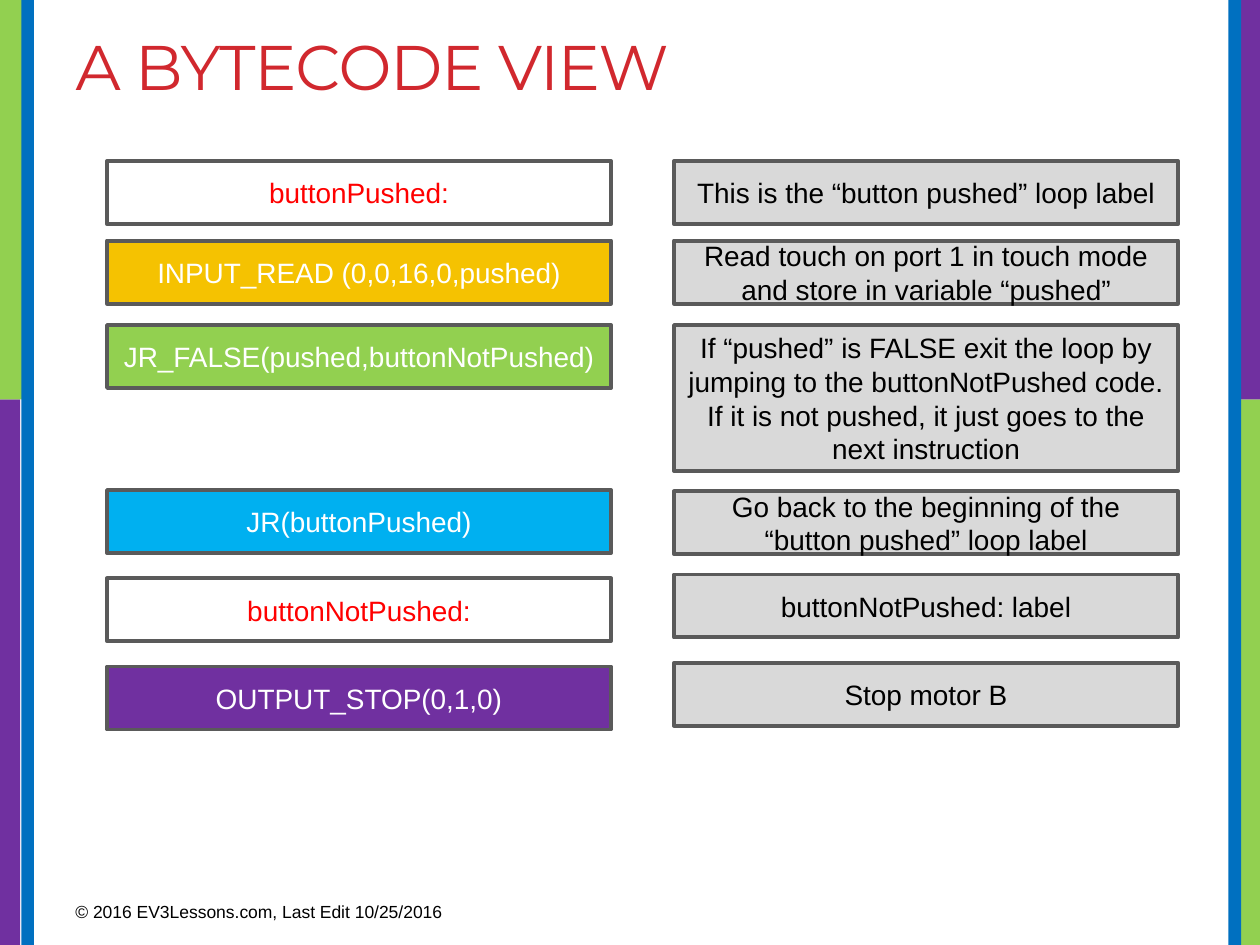
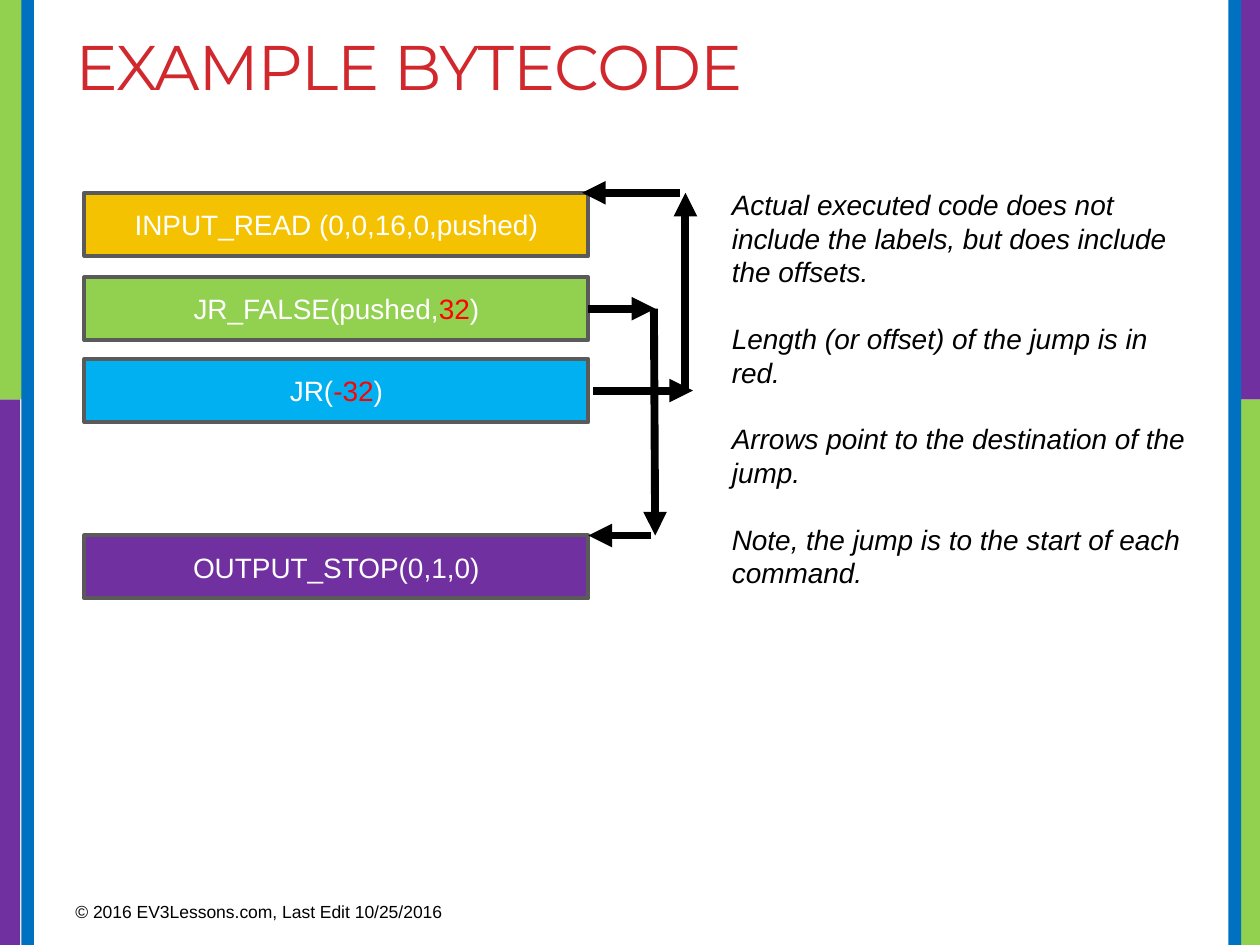
"""Build two slides that explain the bytecode of a touch-sensor loop."""
from lxml.etree import SubElement
from pptx import Presentation
from pptx.dml.color import RGBColor
from pptx.enum.shapes import MSO_CONNECTOR, MSO_SHAPE
from pptx.enum.text import MSO_ANCHOR, MSO_AUTO_SIZE, PP_ALIGN
from pptx.oxml.ns import qn
from pptx.util import Inches, Pt

BLACK = RGBColor(0x00, 0x00, 0x00)
WHITE = RGBColor(0xFF, 0xFF, 0xFF)
RED = RGBColor(0xFF, 0x00, 0x00)
TITLE_RED = RGBColor(0xD1, 0x28, 0x2E)
GOLD = RGBColor(0xF5, 0xC2, 0x01)
GREEN = RGBColor(0x92, 0xD0, 0x50)
SKY = RGBColor(0x00, 0xB0, 0xF0)
BLUE = RGBColor(0x00, 0x70, 0xC0)
PURPLE = RGBColor(0x70, 0x30, 0xA0)
GRAY = RGBColor(0xD9, 0xD9, 0xD9)
OUTLINE = RGBColor(0x5A, 0x5A, 0x5A)

WIDTH, HEIGHT = 10, 7.5
BAND_SPLIT = 3.17
BOX_W, BOX_H = 4, 0.5
TITLE_FONT, BODY_FONT = "Montserrat", "Arial"
FOOTER = "© 2016 EV3Lessons.com, Last Edit 10/25/2016"

BANDS = [
    (WIDTH - 0.16, BAND_SPLIT, 0.16, HEIGHT - BAND_SPLIT, GREEN),
    (WIDTH - 0.2, 0, 0.2, BAND_SPLIT, PURPLE),
    (WIDTH - 0.25, 0, 0.1, HEIGHT, BLUE),
    (0, BAND_SPLIT, 0.16, HEIGHT - BAND_SPLIT, PURPLE),
    (0, 0, 0.2, BAND_SPLIT, GREEN),
    (0.17, 0, 0.1, HEIGHT, BLUE),
]

VIEW_TITLE = "A BYTECODE VIEW"
VIEW_CODE_X, VIEW_NOTE_X = 0.85, 5.35
VIEW_CODE = [
    (1.28, "buttonPushed:", WHITE, RED),
    (1.91, "INPUT_READ (0,0,16,0,pushed)", GOLD, WHITE),
    (2.58, "JR_FALSE(pushed,buttonNotPushed)", GREEN, WHITE),
    (3.89, "JR(buttonPushed)", SKY, WHITE),
    (4.59, "buttonNotPushed:", WHITE, RED),
    (5.29, "OUTPUT_STOP(0,1,0)", PURPLE, WHITE),
]
VIEW_NOTES = [
    (1.28, BOX_H, "This is the “button pushed” loop label"),
    (1.91, BOX_H, "Read touch on port 1 in touch mode and store in variable “pushed”"),
    (2.58, 1.16, "If “pushed” is FALSE exit the loop by jumping to the buttonNotPushed "
                 "code. If it is not pushed, it just goes to the next instruction"),
    (3.9, BOX_H, "Go back to the beginning of the “button pushed” loop label"),
    (4.56, BOX_H, "buttonNotPushed: label"),
    (5.26, BOX_H, "Stop motor B"),
]

EXAMPLE_TITLE = "EXAMPLE BYTECODE"
EXAMPLE_X = 0.67
READ_Y, FALSE_Y, JUMP_Y, STOP_Y = 1.53, 2.2, 2.85, 4.25
EXAMPLE_CODE = [
    (READ_Y, "INPUT_READ (0,0,16,0,pushed)", GOLD),
    (FALSE_Y, "JR_FALSE(pushed,|32|)", GREEN),
    (JUMP_Y, "JR(|-32|)", SKY),
    (STOP_Y, "OUTPUT_STOP(0,1,0)", PURPLE),
]
BOX_EDGE, MID = EXAMPLE_X + BOX_W, BOX_H / 2
JUMP_ARROWS = [
    (BOX_EDGE, FALSE_Y + MID, 5.2, FALSE_Y + MID),
    (5.19, FALSE_Y + MID, 5.2, STOP_Y),
    (5.17, STOP_Y, BOX_EDGE, STOP_Y),
    (4.71, JUMP_Y + MID, 5.5, JUMP_Y + MID),
    (5.44, JUMP_Y + MID, 5.44, READ_Y),
    (5.4, READ_Y, 4.62, READ_Y),
]
EXAMPLE_NOTES = [
    "Actual executed code does not include the labels, but does include the offsets.",
    "Length (or offset) of the jump is in red.",
    "Arrows point to the destination of the jump.",
    "Note, the jump is to the start of each command.",
]


def place(*lengths):
    return [Inches(n) for n in lengths]


def set_font(p, size, color, name=BODY_FONT, italic=None):
    f = p.font
    f.size, f.name, f.italic = Pt(size), name, italic
    f.color.rgb = color


def add_rect(s, x, y, w, h, fill):
    sp = s.shapes.add_shape(MSO_SHAPE.RECTANGLE, *place(x, y, w, h))
    sp.shadow.inherit = False
    sp.fill.solid()
    sp.fill.fore_color.rgb = fill
    sp.line.fill.background()
    return sp


def add_box(s, x, y, h, text, fill, color):
    """Add an outlined box; parts between bars in the text turn red."""
    sp = add_rect(s, x, y, BOX_W, h, fill)
    sp.line.color.rgb = OUTLINE
    sp.line.width = Pt(2.25)
    tf = sp.text_frame
    tf.word_wrap = True
    tf.vertical_anchor = MSO_ANCHOR.MIDDLE
    p = tf.paragraphs[0]
    p.alignment = PP_ALIGN.CENTER
    set_font(p, 16, color)
    for i, part in enumerate(text.split("|")):
        r = p.add_run()
        r.text = part
        r.font.color.rgb = RED if i % 2 else color


def add_text(s, x, y, w, h, lines, size, gap=0, italic=None):
    tf = s.shapes.add_textbox(*place(x, y, w, h)).text_frame
    tf.word_wrap = True
    for i, line in enumerate(lines):
        p = tf.add_paragraph() if i else tf.paragraphs[0]
        p.text = line
        set_font(p, size, BLACK, italic=italic)
        if i:
            p.space_before = Pt(gap)
    return tf


def add_arrow(s, x1, y1, x2, y2):
    c = s.shapes.add_connector(MSO_CONNECTOR.STRAIGHT, *place(x1, y1, x2, y2))
    c.line.color.rgb = BLACK
    c.line.width = Pt(4.5)
    SubElement(c.line._get_or_add_ln(), qn("a:tailEnd"), type="triangle")
    SubElement(c._element.spPr, qn("a:effectLst"))


def add_slide(prs, title):
    s = prs.slides.add_slide(prs.slide_layouts[5])
    for band in BANDS:
        add_rect(s, *band)
    sp = s.shapes.title
    sp.left, sp.top, sp.width, sp.height = place(0.5, 0.17, 9.02, 1.5)
    tf = sp.text_frame
    tf.text = title
    tf.vertical_anchor = MSO_ANCHOR.TOP
    p = tf.paragraphs[0]
    p.alignment = PP_ALIGN.LEFT
    set_font(p, 36, TITLE_RED, TITLE_FONT)
    p.runs[0]._r.get_or_add_rPr().set("spc", "-60")
    add_text(s, 0.5, 7.1, 3.75, 0.31, [FOOTER], 10)
    return s


def main():
    prs = Presentation()
    prs.slide_width, prs.slide_height = place(WIDTH, HEIGHT)

    s = add_slide(prs, VIEW_TITLE)
    for y, text, fill, color in VIEW_CODE:
        add_box(s, VIEW_CODE_X, y, BOX_H, text, fill, color)
    for y, h, text in VIEW_NOTES:
        add_box(s, VIEW_NOTE_X, y, h, text, GRAY, BLACK)

    s = add_slide(prs, EXAMPLE_TITLE)
    for y, text, fill in EXAMPLE_CODE:
        add_box(s, EXAMPLE_X, y, BOX_H, text, fill, WHITE)
    for arrow in JUMP_ARROWS:
        add_arrow(s, *arrow)
    tf = add_text(s, 5.71, 1.44, 3.85, 3.33, EXAMPLE_NOTES, 16, gap=19, italic=True)
    tf.auto_size = MSO_AUTO_SIZE.SHAPE_TO_FIT_TEXT

    prs.save("out.pptx")


if __name__ == "__main__":
    main()
